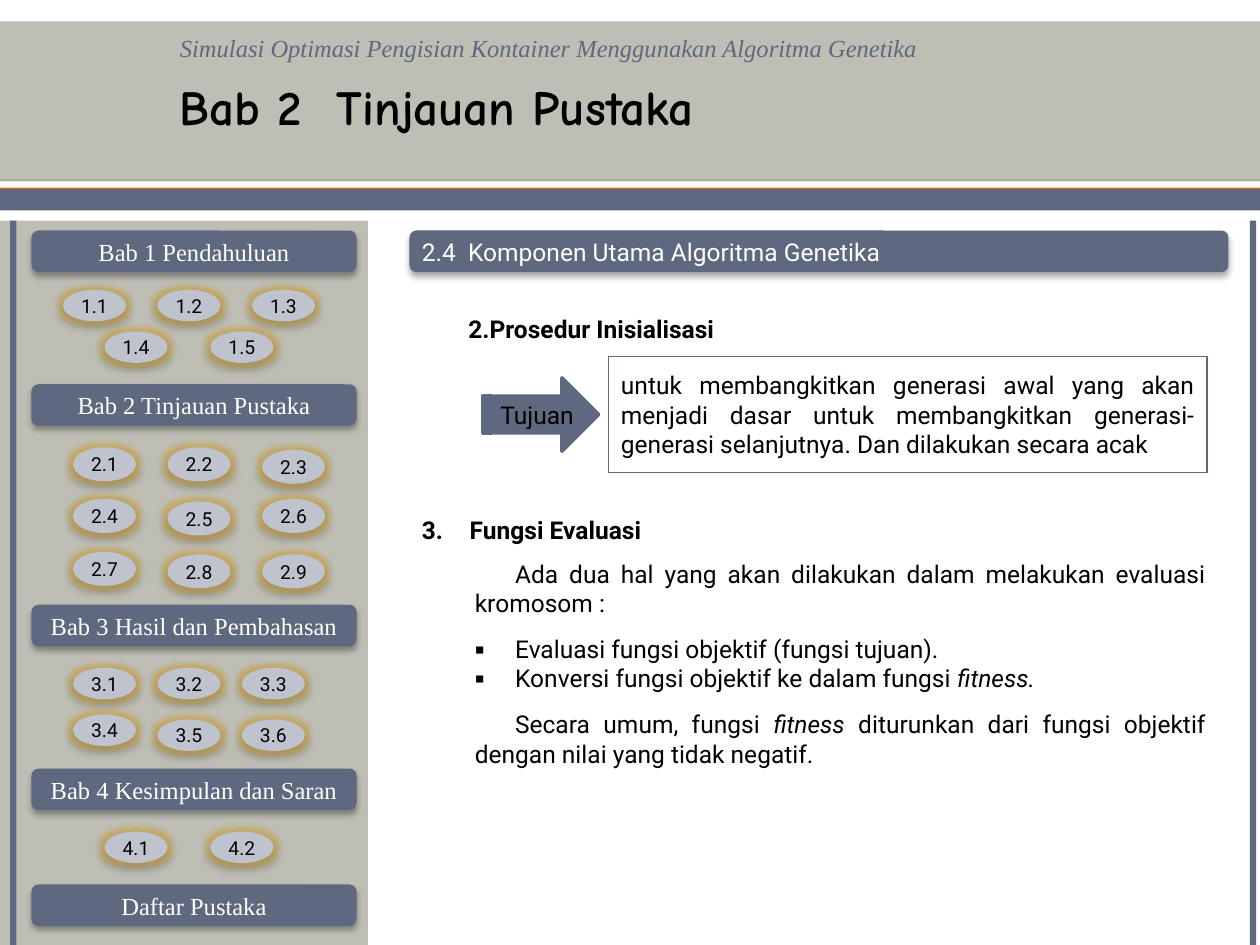
from lxml import etree
from pptx import Presentation
from pptx.dml.color import RGBColor
from pptx.enum.shapes import MSO_SHAPE
from pptx.enum.text import MSO_ANCHOR, PP_ALIGN
from pptx.oxml import parse_xml
from pptx.oxml.ns import qn
from pptx.util import Inches, Pt

RECT = MSO_SHAPE.RECTANGLE
BAR = MSO_SHAPE.FLOWCHART_ALTERNATE_PROCESS
OVAL = MSO_SHAPE.OVAL
ARROW = MSO_SHAPE.STRIPED_RIGHT_ARROW
LEFT, CENTER, JUSTIFY = PP_ALIGN.LEFT, PP_ALIGN.CENTER, PP_ALIGN.JUSTIFY
MIDDLE, TOP = MSO_ANCHOR.MIDDLE, MSO_ANCHOR.TOP

SLATE, STONE, PALE = "5E687E", "BEBEB4", "BEC3CE"
BLACK, WHITE = "000000", "FFFFFF"
SERIF, SANS, COMIC = "Times New Roman", "Roboto", "Comic Neue"

DRAWING = 'xmlns:a="http://schemas.openxmlformats.org/drawingml/2006/main"'
SHADOW = (f'<a:outerShdw {DRAWING} blurRad="44450" dist="27940" dir="5400000" rotWithShape="0">'
          '<a:srgbClr val="000000"><a:alpha val="32000"/></a:srgbClr></a:outerShdw>')
GLOW = (f'<a:glow {DRAWING} rad="63500"><a:srgbClr val="D9A93A">'
        '<a:alpha val="50000"/></a:srgbClr></a:glow>')

deck = Presentation()
deck.slide_width, deck.slide_height = Inches(10), Inches(7.5)
page = deck.slides.add_slide(deck.slide_layouts[6])


def add_block(kind, bounds, fill=None, line=None, width=1, effects=()):
    """Add a preset shape, or a text box when kind is None."""
    bounds = [Inches(length) for length in bounds]
    if kind is None:
        return page.shapes.add_textbox(*bounds)
    block = page.shapes.add_shape(kind, *bounds)
    block.shadow.inherit = False
    if fill:
        block.fill.solid()
        block.fill.fore_color.rgb = RGBColor.from_string(fill)
    else:
        block.fill.background()
    if line:
        block.line.color.rgb = RGBColor.from_string(line)
        block.line.width = Pt(width)
    else:
        block.line.fill.background()
    effect_list = block._element.spPr.find(qn("a:effectLst"))
    for effect in effects:
        effect_list.append(parse_xml(effect))
    return block


def write(block, text, font, size, color, align=LEFT, anchor=MIDDLE, inset=None):
    """Fill a block with text, one paragraph a line, and style its runs."""
    frame = block.text_frame
    frame.word_wrap = True
    frame.vertical_anchor = anchor
    if inset is not None:
        frame.margin_left = frame.margin_right = Inches(inset)
        frame.margin_top = frame.margin_bottom = Inches(inset)
    frame.text = text
    for para in frame.paragraphs:
        para.alignment = align
        for span in para.runs:
            span.font.name = font
            span.font.size = Pt(size)
            span.font.color.rgb = RGBColor.from_string(color)
    return frame.paragraphs


# Header bands, sidebar and right edge
for bounds, color in [
    ((0, 0.18, 10, 1.26), "ABB19F"),
    ((0, 1.49, 10, 0.16), "F4680B"),
    ((0, 0.17, 10, 1.25), STONE),
    ((0, 1.5, 10, 0.17), SLATE),
    ((0, 1.75, 2.92, 5.75), STONE),
    ((0.08, 1.75, 0.05, 5.75), SLATE),
    ((9.92, 1.75, 0.05, 5.75), SLATE),
]:
    add_block(RECT, bounds, color)

# Header text
subtitle = write(add_block(None, (1.33, 0.21, 8.67, 0.34)),
                 "Simulasi Optimasi Pengisian Kontainer Menggunakan Algoritma Genetika",
                 SERIF, 14, SLATE, anchor=TOP)
subtitle[0].runs[0].font.italic = True
title = write(add_block(None, (1.33, 0.56, 5.17, 0.57)),
              "Bab 2  Tinjauan Pustaka", COMIC, 28, BLACK, anchor=TOP)
title[0].runs[0].font.bold = True

# Sidebar menu: title, bar top, oval height, (left, top) of each oval
thirds = (0.58, 1.33, 2.08)
close_thirds = (0.58, 1.25, 1.92)
pair = (0.83, 1.67)
chapters = [
    ("Bab 1 Pendahuluan", 1.83, 0.25,
     [(left, 2.3) for left in (0.5, 1.25, 2)] + [(left, 2.63) for left in pair]),
    ("Bab 2 Tinjauan Pustaka", 3.05, 0.27,
     [*zip(thirds, (3.55, 3.55, 3.57)), *zip(thirds, (3.96, 3.98, 3.96)),
      *zip(thirds, (4.38, 4.4, 4.4))]),
    ("Bab 3 Hasil dan Pembahasan", 4.8, 0.25,
     [*zip(close_thirds, (5.3, 5.3, 5.3)), *zip(close_thirds, (5.67, 5.71, 5.71))]),
    ("Bab 4 Kesimpulan dan Saran", 6.1, 0.25, [(left, 6.6) for left in pair]),
    ("Daftar Pustaka", 7.02, 0.25, []),
]
for chapter, (name, bar_top, height, places) in enumerate(chapters, 1):
    bar = add_block(BAR, (0.25, bar_top, 2.58, 0.33), SLATE, effects=[SHADOW])
    write(bar, name, SERIF, 14, WHITE, CENTER)
    for section, (left, top) in enumerate(places, 1):
        oval = add_block(OVAL, (left, top, 0.5, height), PALE, effects=[GLOW, SHADOW])
        write(oval, f"{chapter}.{section}", SANS, 11, BLACK, CENTER, inset=0)

# Section heading
add_block(BAR, (3.25, 1.83, 6.5, 0.33), SLATE, effects=[SHADOW])
write(add_block(None, (3.25, 1.83, 3.92, 0.34)),
      "2.4  Komponen Utama Algoritma Genetika", SANS, 14, WHITE, anchor=TOP)

# Numbered headings
for top, text in [(2.33, "Prosedur Inisialisasi"), (3.92, "3.\tFungsi Evaluasi")]:
    para = write(add_block(None, (3.25, top, 6.5, 0.41)),
                 text, SANS, 14, BLACK, JUSTIFY, TOP)[0]
    properties = para._p.get_or_add_pPr()
    if "\t" in text:
        tabs = etree.SubElement(properties, qn("a:tabLst"))
        etree.SubElement(tabs, qn("a:tab"), pos=str(Inches(0.38)), algn="l")
    else:
        properties.set("marL", "0")
        properties.set("indent", str(Inches(0.37)))
        etree.SubElement(properties, qn("a:buFont"), typeface="+mj-lt")
        etree.SubElement(properties, qn("a:buAutoNum"), type="arabicPeriod", startAt="2")
    para.line_spacing = 1.5
    para.runs[0].font.bold = True

# Purpose arrow and its explanation
arrow = add_block(ARROW, (3.83, 3, 0.92, 0.58), SLATE, SLATE, 2.22)
write(arrow, "Tujuan", SANS, 14, BLACK, CENTER, inset=0)
purpose = add_block(RECT, (4.83, 2.83, 4.75, 0.92), line=SLATE)
write(purpose,
      "untuk membangkitkan generasi awal yang akan menjadi dasar untuk membangkitkan "
      "generasi-generasi selanjutnya. Dan dilakukan secara acak",
      SANS, 14, BLACK, JUSTIFY)

# Evaluation text: words, bulleted, space before
body = [
    ("Ada dua hal yang akan dilakukan dalam melakukan evaluasi kromosom :", False, 0),
    ("Evaluasi fungsi objektif (fungsi tujuan).", True, 9.4),
    ("Konversi fungsi objektif ke dalam fungsi fitness.", True, 0),
    ("Secara umum, fungsi fitness diturunkan dari fungsi objektif dengan nilai "
     "yang tidak negatif.", False, 9.4),
]
evaluation = add_block(None, (3.67, 4.42, 6, 1.92))
evaluation.text_frame.margin_bottom = Inches(0.28)
paragraphs = write(evaluation, "\n".join(text for text, _, _ in body),
                   SANS, 14, BLACK, JUSTIFY)
for para, (text, bulleted, space) in zip(paragraphs, body):
    properties = para._p.get_or_add_pPr()
    properties.set("marL", str(Inches(0.32 if bulleted else 0)))
    properties.set("indent", str(Inches(-0.32 if bulleted else 0.32)))
    if bulleted:
        etree.SubElement(properties, qn("a:buFont"), typeface=SANS)
        etree.SubElement(properties, qn("a:buChar"), char="▪")
    if space:
        para.space_before = Pt(space)
    before, word, after = text.partition("fitness")
    if word:
        para.runs[0].text = before
        for part in (word, after):
            span = para.add_run()
            span.text = part
            span.font.name = SANS
            span.font.size = Pt(14)
            span.font.color.rgb = RGBColor.from_string(BLACK)
            span.font.italic = part in ("fitness", ".")

deck.save("out.pptx")
